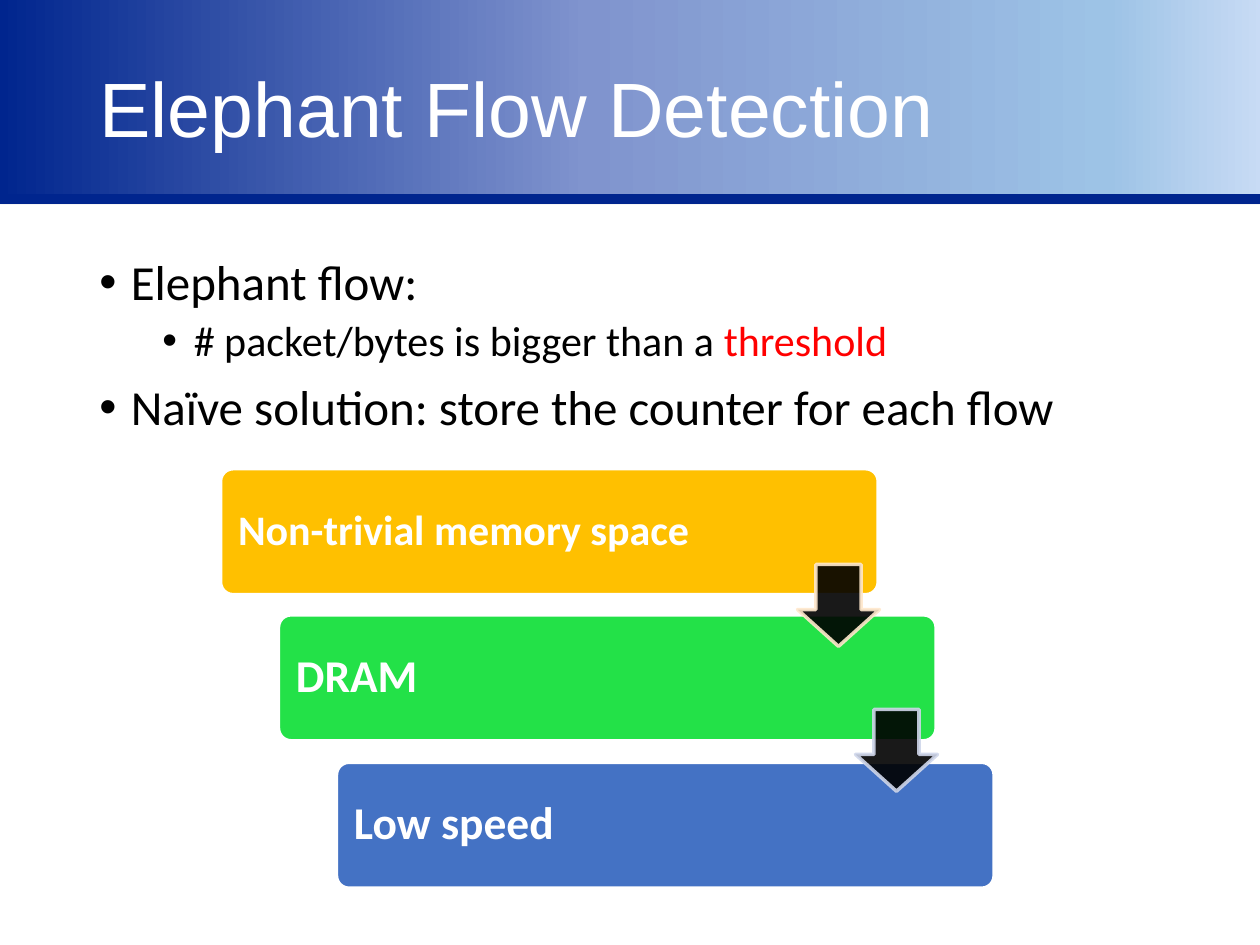
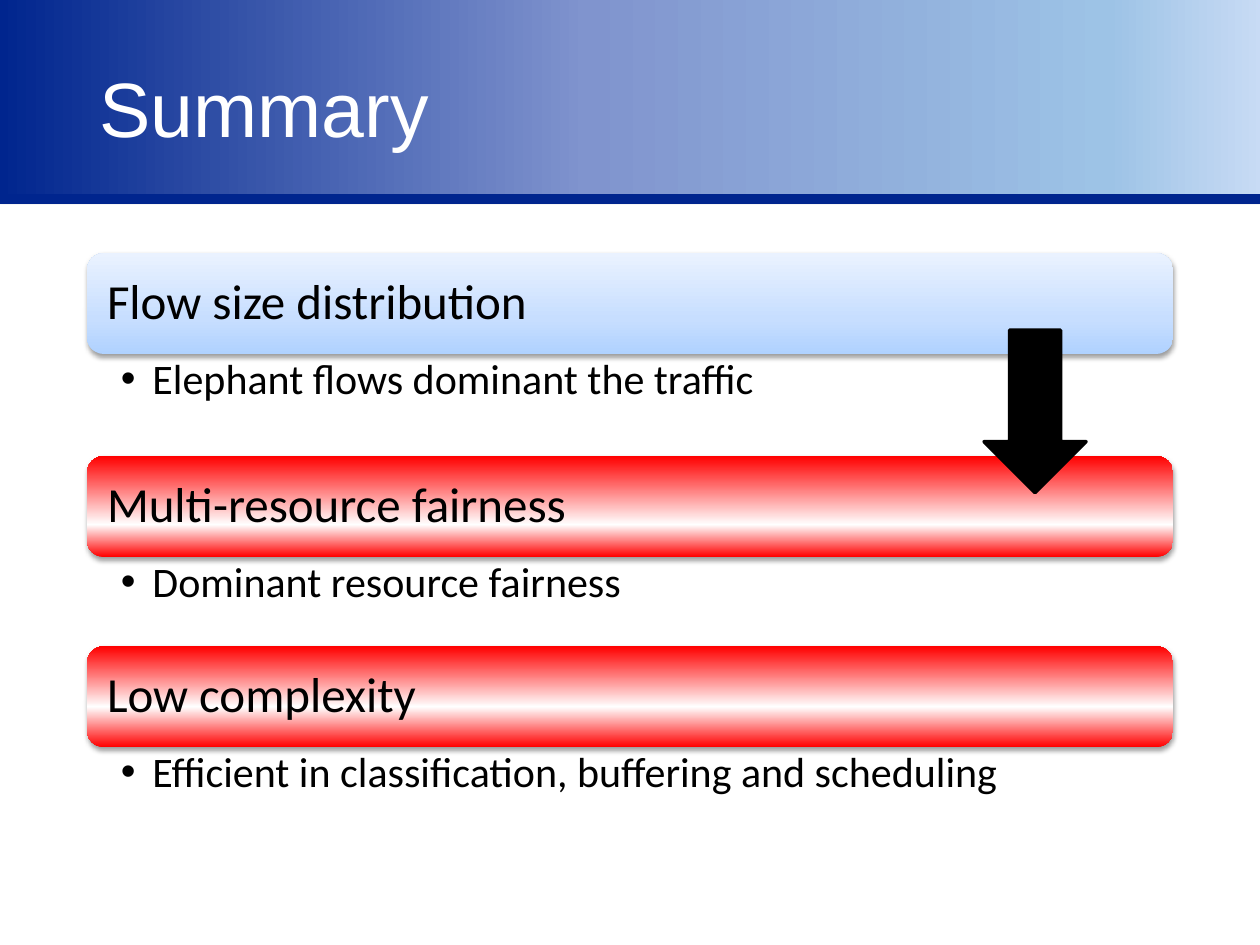
from dataclasses import dataclass

from lxml.etree import SubElement
from pptx import Presentation
from pptx.dml.color import RGBColor as Rgb
from pptx.enum.shapes import MSO_CONNECTOR as Connector, MSO_SHAPE as Shape
from pptx.enum.text import MSO_ANCHOR as Anchor, PP_ALIGN as Align
from pptx.oxml.ns import qn
from pptx.util import Pt

PX = 9144


@dataclass(frozen=True)
class Theme:
    navy: str = "00258E"
    band_line: str = "3F6FC3"
    band_stops: tuple = ((0, "00258E"), (43, "8094CE"), (81, "9DC3E6"), (100, "E7ECFF"))
    blue_stops: tuple = ((0, "B0D2FF"), (35, "C7DEFF"), (100, "EAF2FF"))
    red_low_stops: tuple = ((0, "FF0000"), (32, "FFFFFF"), (100, "FF0000"))
    red_mid_stops: tuple = ((0, "FF0000"), (40, "FFFFFF"), (100, "FF0000"))
    amber: str = "FFC000"
    green: str = "23E148"
    blue: str = "4472C4"
    pale_amber: str = "FFE8CC"
    pale_blue: str = "CFD6EA"
    red: str = "FF0000"
    black: str = "000000"
    white: str = "FFFFFF"
    heading_font: str = "Arial"
    body_font: str = "Calibri"
    title_size: int = 44
    large: int = 28
    medium: int = 26
    small: int = 24


theme = Theme()


def glaze(shape, stops, angle):
    shape.fill.gradient()
    shape.fill.gradient_angle = angle
    properties = shape.element.spPr
    stop_list = properties.find(".//" + qn("a:gsLst"))
    stop_list.clear()
    for percent, color in stops:
        stop = SubElement(stop_list, qn("a:gs"), pos=str(percent * 1000))
        SubElement(stop, qn("a:srgbClr"), val=color)
    shape.shadow.inherit = False
    shadow = SubElement(properties.find(qn("a:effectLst")), qn("a:outerShdw"),
                        blurRad="40000", dist="20000", dir="5400000", rotWithShape="0")
    shade = SubElement(shadow, qn("a:srgbClr"), val=theme.black)
    SubElement(shade, qn("a:alpha"), val="38000")


def style(paragraph, size, color, font=theme.body_font, indent=None, before=0):
    paragraph.alignment = Align.LEFT
    paragraph.line_spacing = 0.9
    paragraph.space_before = Pt(before)
    if indent is not None:
        properties = paragraph._p.get_or_add_pPr()
        properties.set("marL", str(indent * PX))
        properties.set("indent", str(-25 * PX))
        SubElement(properties, qn("a:buFont"), typeface=theme.heading_font)
        SubElement(properties, qn("a:buChar"), char="•")
    paragraph.font.size = Pt(size)
    paragraph.font.name = font
    paragraph.font.color.rgb = Rgb.from_string(color)


deck = Presentation()
deck.slide_width, deck.slide_height = 1000 * PX, 750 * PX
title_only = deck.slide_layouts[5]
detection, summary = [deck.slides.add_slide(title_only) for _ in range(2)]

band = detection.shapes.add_shape(
    Shape.RECTANGLE, *[n * PX for n in (-1, -10, 1087, 165)])
glaze(band, theme.band_stops, 0)
band.line.color.rgb = Rgb.from_string(theme.band_line)
band.line.width = Pt(0.75)
rule = detection.shapes.add_connector(
    Connector.STRAIGHT, *[n * PX for n in (-79, 158, 1056, 158)])
rule.line.color.rgb = Rgb.from_string(theme.navy)
rule.line.width = Pt(6)
SubElement(rule.element.spPr, qn("a:effectLst"))
for position, backdrop in enumerate((band, rule), 2):
    title_only.shapes.element.insert(position, backdrop.element)

for slide, heading in ((detection, "Elephant Flow Detection"), (summary, "Summary")):
    title = slide.shapes.title
    title.left, title.top, title.width, title.height = [n * PX for n in (69, 24, 1018, 130)]
    title.text_frame.text = heading
    title.text_frame.vertical_anchor = Anchor.MIDDLE
    style(title.text_frame.paragraphs[0], theme.title_size, theme.white, theme.heading_font)

definition = detection.shapes.add_textbox(*[n * PX for n in (69, 200, 862, 476)]).text_frame
definition.word_wrap = True
points = (
    (("Elephant flow:",), theme.large, 25, 10),
    (("# packet/bytes is bigger than a ", "threshold"), theme.small, 75, 5),
    (("Naïve solution: store the counter for each flow",), theme.large, 25, 10),
)
for number, (parts, size, indent, before) in enumerate(points):
    point = definition.add_paragraph() if number else definition.paragraphs[0]
    style(point, size, theme.black, indent=indent, before=before)
    for part in parts:
        run = point.add_run()
        run.text = part
        if part == "threshold":
            run.font.color.rgb = Rgb.from_string(theme.red)

drawbacks = (
    ("Non-trivial memory space", theme.amber, theme.small),
    ("DRAM", theme.green, theme.medium),
    ("Low speed", theme.blue, theme.medium),
)
for number, (label, color, size) in enumerate(drawbacks):
    step = detection.shapes.add_shape(
        Shape.ROUNDED_RECTANGLE,
        *[n * PX for n in (175 + 46 * number, 372 + 233 * number // 2, 522, 100)])
    step.adjustments[0] = 0.1
    step.shadow.inherit = False
    step.fill.solid()
    step.fill.fore_color.rgb = Rgb.from_string(color)
    step.line.color.rgb = Rgb.from_string(theme.white)
    step.line.width = Pt(2)
    frame = step.text_frame
    frame.word_wrap = True
    frame.margin_left = 11 * PX
    frame.vertical_anchor = Anchor.MIDDLE
    frame.text = label
    style(frame.paragraphs[0], size, theme.white)
    frame.paragraphs[0].font.bold = True

for number, outline in enumerate((theme.pale_amber, theme.pale_blue)):
    descent = detection.shapes.add_shape(
        Shape.DOWN_ARROW,
        *[n * PX for n in (633 + 46 * number, 448 + 231 * number // 2, 65, 65)])
    descent.adjustments[0], descent.adjustments[1] = 0.55, 0.45
    descent.shadow.inherit = False
    descent.fill.solid()
    descent.fill.fore_color.rgb = Rgb.from_string(theme.black)
    descent.line.color.rgb = Rgb.from_string(outline)
    descent.line.width = Pt(2)
    for color in descent.element.spPr.iter(qn("a:srgbClr")):
        SubElement(color, qn("a:alpha"), val="90000")

topics = (
    ("Flow size distribution", "Elephant flows dominant the traffic",
     theme.blue_stops, 81),
    ("Multi-resource fairness", "Dominant resource fairness",
     theme.red_low_stops, 71),
    ("Low complexity", "Efficient in classification, buffering and scheduling",
     theme.red_mid_stops, 82),
)
top = 201
for topic, detail, stops, detail_height in topics:
    bar = summary.shapes.add_shape(
        Shape.ROUNDED_RECTANGLE, *[n * PX for n in (69, top, 862, 80)])
    glaze(bar, stops, 90)
    bar.line.fill.background()
    frame = bar.text_frame
    frame.word_wrap = True
    frame.margin_left = 12 * PX
    frame.vertical_anchor = Anchor.MIDDLE
    frame.text = topic
    style(frame.paragraphs[0], theme.large, theme.black)

    top += 80
    frame = summary.shapes.add_textbox(
        *[n * PX for n in (69, top, 862, detail_height)]).text_frame
    frame.word_wrap = True
    frame.margin_left, frame.margin_right = 27 * PX, 19 * PX
    frame.margin_top = frame.margin_bottom = 3 * PX
    frame.text = detail
    style(frame.paragraphs[0], theme.small, theme.black, indent=25)
    top += detail_height

link = summary.shapes.add_shape(Shape.DOWN_ARROW, *[n * PX for n in (781, 262, 81, 129)])
link.shadow.inherit = False
link.fill.solid()
link.fill.fore_color.rgb = Rgb.from_string(theme.black)
link.line.color.rgb = Rgb.from_string(theme.black)
link.line.width = Pt(2)

deck.save("out.pptx")
